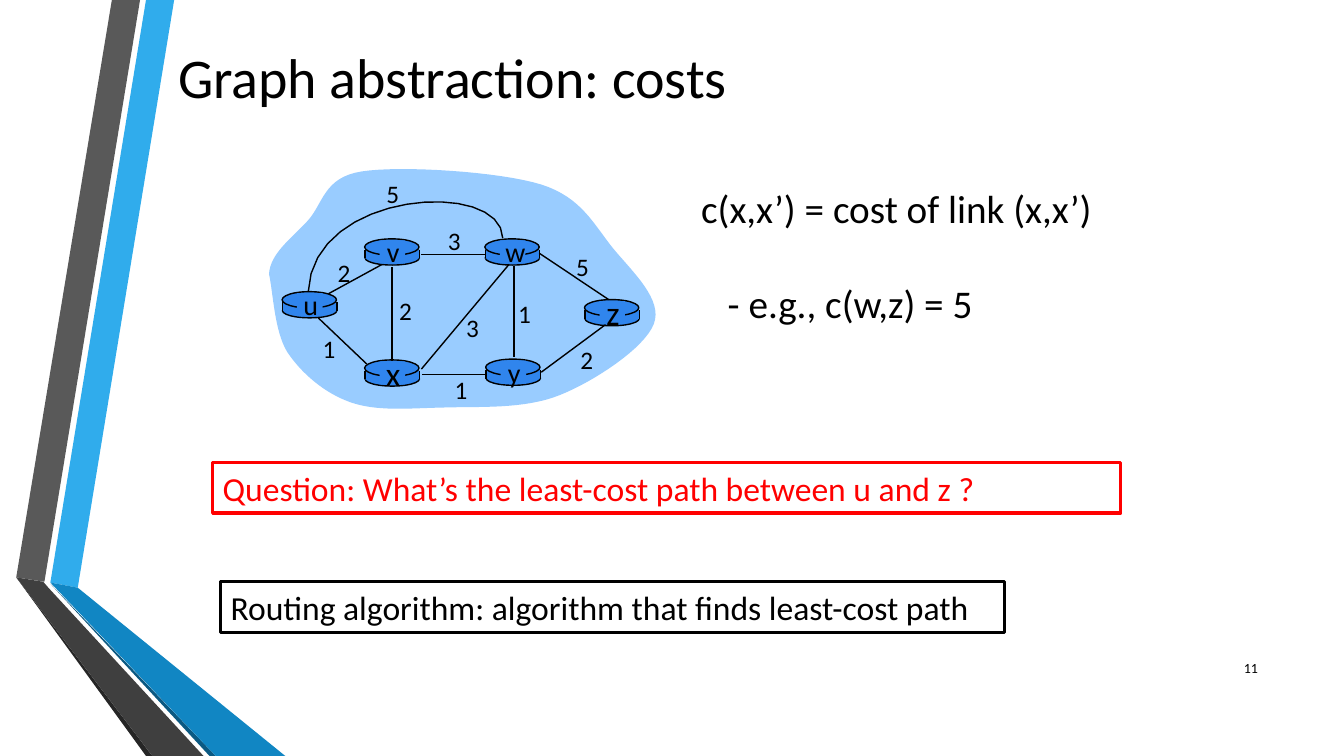
from dataclasses import dataclass

from lxml import etree
from pptx import Presentation
from pptx import util as u
from pptx.dml.color import RGBColor
from pptx.enum import shapes, text
from pptx.oxml.ns import qn


@dataclass(frozen=True)
class Theme:
    """Colours, font and type sizes of the slide."""
    font: str = "Calibri"
    ink: str = "000000"
    alert: str = "FF0000"
    cloud: str = "99CCFF"
    router: str = "3085ED"
    title: int = 40
    note: int = 28
    banner: int = 24
    weight: int = 18
    number: int = 10
    thin: float = 1
    thick: float = 2.25


@dataclass(frozen=True)
class Box:
    """A rectangle in centimetres."""
    left: float
    top: float
    width: float
    height: float

    def inner(self, left, top, width, height):
        """Return a box placed relative to this one."""
        return Box(self.left + left, self.top + top, width, height)

    def centred(self, x, y, width, height):
        """Return a box centred on a point of this one."""
        return self.inner(x - width / 2, y - height / 2, width, height)

    def lengths(self):
        """Return left, top, width and height as lengths."""
        return [u.Cm(value) for value in (self.left, self.top, self.width, self.height)]

    def point(self, x, y):
        """Return a point of this box as lengths on the slide."""
        return u.Cm(self.left + x), u.Cm(self.top + y)


THEME = Theme()
RIBBONS = [
    ("30ACEC", [(1.27, 14.68), (1.96, 14.81), (4.39, 0), (3.68, 0)]),
    ("595959", [(3.53, 0), (2.82, 0), (0.41, 14.55), (1.12, 14.66)]),
    ("262626", [(0.41, 14.55), (3.68, 19.05), (3.84, 19.05)]),
    ("0B5982", [(1.27, 14.71), (5.28, 19.05), (5.44, 19.05)]),
    ("1186C3", [(1.27, 14.68), (5.44, 19.05), (7.19, 19.05), (1.96, 14.81)]),
    ("3F3F3F", [(5.13, 19.05), (1.22, 14.81), (1.09, 14.66), (0.41, 14.55), (3.84, 19.05)]),
]
CLOUD = [
    (0, 2.74), (0.03, 2.21), (0.58, 1.83), (0.97, 1.4), (1.37, 0.97), (1.37, 0.3),
    (2.34, 0.15), (3.33, 0), (5.79, 0.15), (6.86, 0.48), (7.9, 0.81), (8.2, 1.52),
    (8.69, 2.11), (9.17, 2.69), (9.93, 3.38), (9.7, 3.99), (9.47, 4.6), (8.2, 5.44),
    (7.32, 5.79), (6.43, 6.15), (5.26, 6.07), (4.39, 6.1), (3.51, 6.12), (2.72, 6.2),
    (2.06, 5.97), (1.4, 5.74), (0.81, 5.23), (0.46, 4.7), (0.13, 4.17), (0.1, 3.15), (0, 2.74),
]
ARC = [(5.89, 1.83), (5.87, 0.33), (1.09, 0.61), (0.99, 3.18)]
ROUTERS = [
    ("u", 0.33, 3.18, 20), ("x", 2.41, 4.9, 24), ("v", 2.41, 1.85, 20),
    ("w", 5.44, 1.85, 20), ("y", 5.46, 4.88, 20), ("z", 7.95, 3.38, 24),
]
LINK_UV = (1.5, 3.23, 3, 2.41)
LINKS = [
    (6.17, 2.54, 6.17, 4.83), (3.1, 2.57, 3.1, 4.93), (3.84, 5.13, 6.05, 2.49),
    (6.86, 5.21, 8.48, 4.01), (3.86, 5.26, 5.46, 5.26), (1.24, 3.84, 2.46, 5),
    (3.84, 2.24, 5.44, 2.24), (6.81, 2.21, 8.56, 3.38),
]
WEIGHTS = [
    ("2", 1.89, 2.69), ("2", 3.44, 3.66), ("1", 1.51, 4.6), ("3", 5.13, 4.09),
    ("1", 4.84, 5.64), ("1", 6.44, 3.73), ("2", 8.01, 4.9), ("5", 7.9, 2.54),
    ("3", 4.67, 1.88), ("5", 3.12, 0.71),
]


def bezier(points, steps=16):
    """Return points along a chain of cubic curves."""
    curve = [points[0]]
    for first in range(0, len(points) - 1, 3):
        a, b, c, d = points[first:first + 4]
        for step in range(1, steps + 1):
            t = step / steps
            s = 1 - t
            curve.append(tuple(s**3 * a[i] + 3 * s * s * t * b[i] + 3 * s * t * t * c[i]
                               + t**3 * d[i] for i in (0, 1)))
    return curve


def paint(shape, fill=None, line=None, width=THEME.thin):
    """Set the fill and line of a shape and drop its shadow."""
    shape.shadow.inherit = False
    for part, colour in ((shape.fill, fill), (shape.line.fill, line)):
        if colour:
            part.solid()
            part.fore_color.rgb = RGBColor.from_string(colour)
        else:
            part.background()
    if line:
        shape.line.width = u.Pt(width)


def add_outline(slide, box, points, fill=None, line=None):
    """Draw a filled outline, or an open one when there is no fill."""
    corners = [box.point(*point) for point in points]
    builder = slide.shapes.build_freeform(*corners[0], scale=1.0)
    builder.add_line_segments(corners[1:], close=fill is not None)
    paint(builder.convert_to_shape(), fill, line)


def add_preset(slide, kind, box, fill=None, line=None, width=THEME.thin):
    """Draw a preset shape."""
    shape = slide.shapes.add_shape(kind, *box.lengths())
    paint(shape, fill, line, width)
    return shape


def add_link(slide, box, ends):
    """Draw a straight thin line within a box."""
    link = slide.shapes.add_connector(
        shapes.MSO_CONNECTOR.STRAIGHT, *box.point(*ends[:2]), *box.point(*ends[2:]))
    link.line.color.rgb = RGBColor.from_string(THEME.ink)
    link.line.width = u.Pt(THEME.thin)
    etree.SubElement(link._element.spPr, qn("a:effectLst"))


def write(shape, lines, size, colour=THEME.ink, align=text.PP_ALIGN.LEFT,
          anchor=text.MSO_ANCHOR.MIDDLE, wrap=True):
    """Write lines of text into a shape and return its paragraphs."""
    frame = shape.text_frame
    frame.word_wrap = wrap
    frame.vertical_anchor = anchor
    for index, line in enumerate(lines):
        paragraph = frame.add_paragraph() if index else frame.paragraphs[0]
        paragraph.alignment = align
        run = paragraph.add_run()
        run.text = line
        run.font.name = THEME.font
        run.font.size = u.Pt(size)
        run.font.color.rgb = RGBColor.from_string(colour)
    return frame.paragraphs


def add_text(slide, box, lines, size, **options):
    """Add a text box and return its paragraphs."""
    return write(slide.shapes.add_textbox(*box.lengths()), lines, size, **options)


def draw_ribbons(slide, box):
    """Draw the folded ribbons at the left edge."""
    for colour, points in RIBBONS:
        add_outline(slide, box, points, fill=colour)


def draw_router(slide, box):
    """Draw a router as a flat cylinder."""
    oval, block = shapes.MSO_SHAPE.OVAL, shapes.MSO_SHAPE.RECTANGLE
    add_preset(slide, oval, box.inner(0.01, 0.3, 1.37, 0.36), THEME.router, THEME.ink)
    add_preset(slide, block, box.inner(0.01, 0.27, 1.37, 0.22), THEME.router)
    for x in (0.01, 1.38):
        add_link(slide, box, (x, 0.27, x, 0.49))
    add_preset(slide, oval, box.inner(0, 0, 1.37, 0.41), THEME.router, THEME.ink)


def draw_graph(slide, box):
    """Draw the network cloud with its routers, links and costs."""
    centre = text.PP_ALIGN.CENTER
    add_outline(slide, box, bezier(CLOUD), fill=THEME.cloud)
    add_link(slide, box, LINK_UV)
    for _, x, y, _ in ROUTERS:
        draw_router(slide, box.inner(x, y, 1.37, 0.66))
    for ends in LINKS:
        add_link(slide, box, ends)
    add_outline(slide, box, bezier(ARC), line=THEME.ink)
    for name, x, y, size in ROUTERS:
        add_preset(slide, shapes.MSO_SHAPE.RECTANGLE, box.inner(x + 0.38, y + 0.04, 0.64, 0.58),
                   THEME.router)
        add_text(slide, box.centred(x + 0.72, y + 0.32, 0.9, 1.2), [name], size,
                 align=centre, wrap=False)
    for cost, x, y in WEIGHTS:
        add_text(slide, box.centred(x, y, 0.82, 1.02), [cost], THEME.weight,
                 align=centre, wrap=False)


def draw_notes(slide, box):
    """Write the cost definition and its example."""
    lines = ["c(x,x’) = cost of link (x,x’)", "- e.g., c(w,z) = 5"]
    example = add_text(slide, box, lines, THEME.note, anchor=text.MSO_ANCHOR.TOP)[1]
    example.space_before = u.Pt(34)
    example._p.get_or_add_pPr().set("marL", str(u.Cm(0.67)))


def draw_banner(slide, box, line, colour):
    """Draw a framed statement."""
    frame = add_preset(slide, shapes.MSO_SHAPE.RECTANGLE, box, line=colour, width=THEME.thick)
    write(frame, [line], THEME.banner, colour=colour)


def main():
    """Build the slide and save it."""
    presentation = Presentation()
    page = Box(0, 0, 33.87, 19.05)
    presentation.slide_width, presentation.slide_height = page.lengths()[2:]
    slide = presentation.slides.add_slide(presentation.slide_layouts[6])
    draw_ribbons(slide, page)
    add_text(slide, page.inner(4.24, 0.28, 27.84, 3.28), ["Graph abstraction: costs"], THEME.title)
    draw_graph(slide, page.inner(6.78, 4.17, 9.93, 6.22))
    draw_notes(slide, page.inner(17.42, 4.52, 12.45, 5.89))
    draw_banner(slide, page.inner(5.36, 11.66, 22.89, 1.27),
                "Question: What’s the least-cost path between u and z ?", THEME.alert)
    draw_banner(slide, page.inner(5.56, 14.66, 19.76, 1.27),
                "Routing algorithm: algorithm that finds least-cost path", THEME.ink)
    add_text(slide, page.inner(30.43, 16.33, 1.52, 1.02), ["11"], THEME.number,
             align=text.PP_ALIGN.RIGHT)
    presentation.save("out.pptx")


if __name__ == "__main__":
    main()
